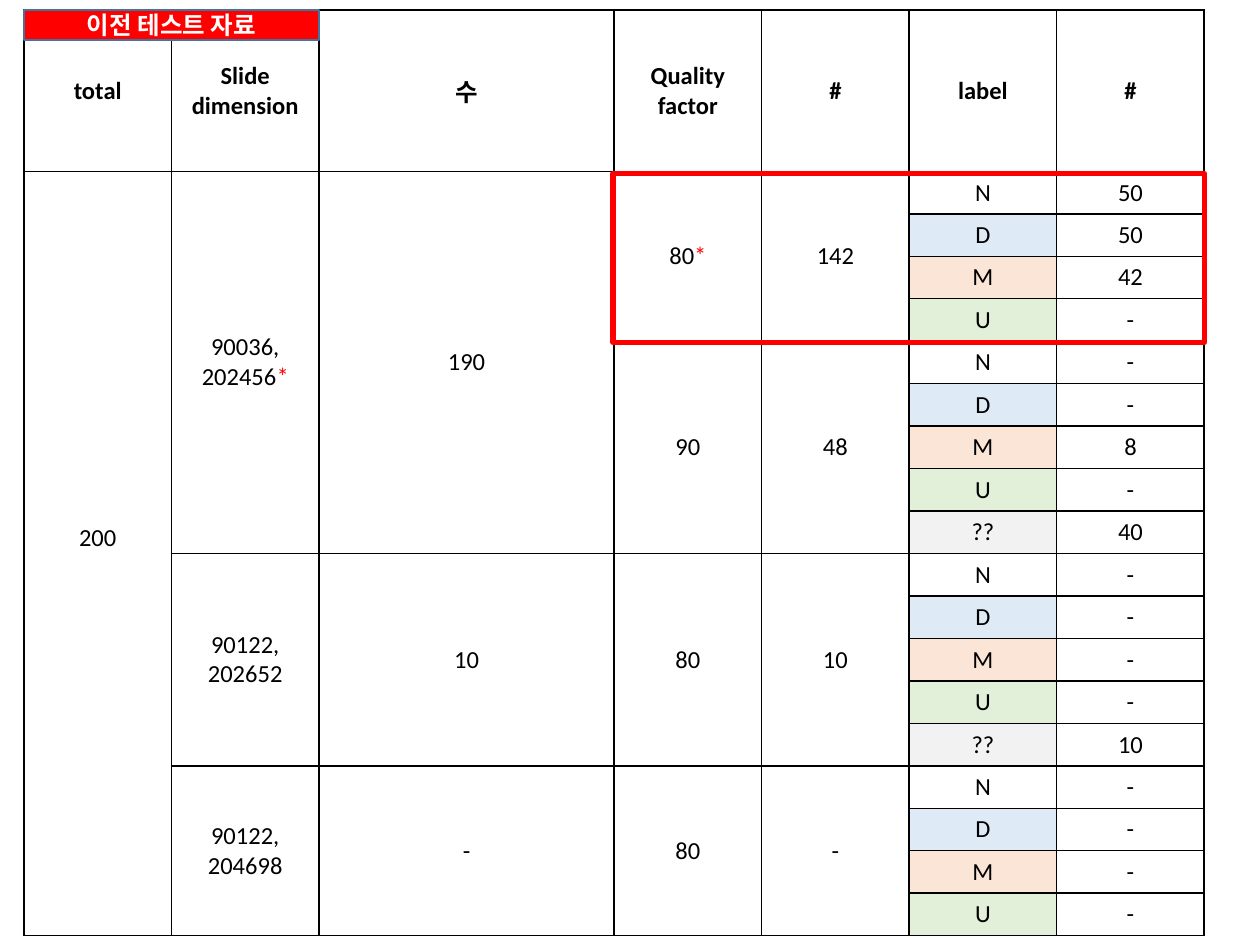
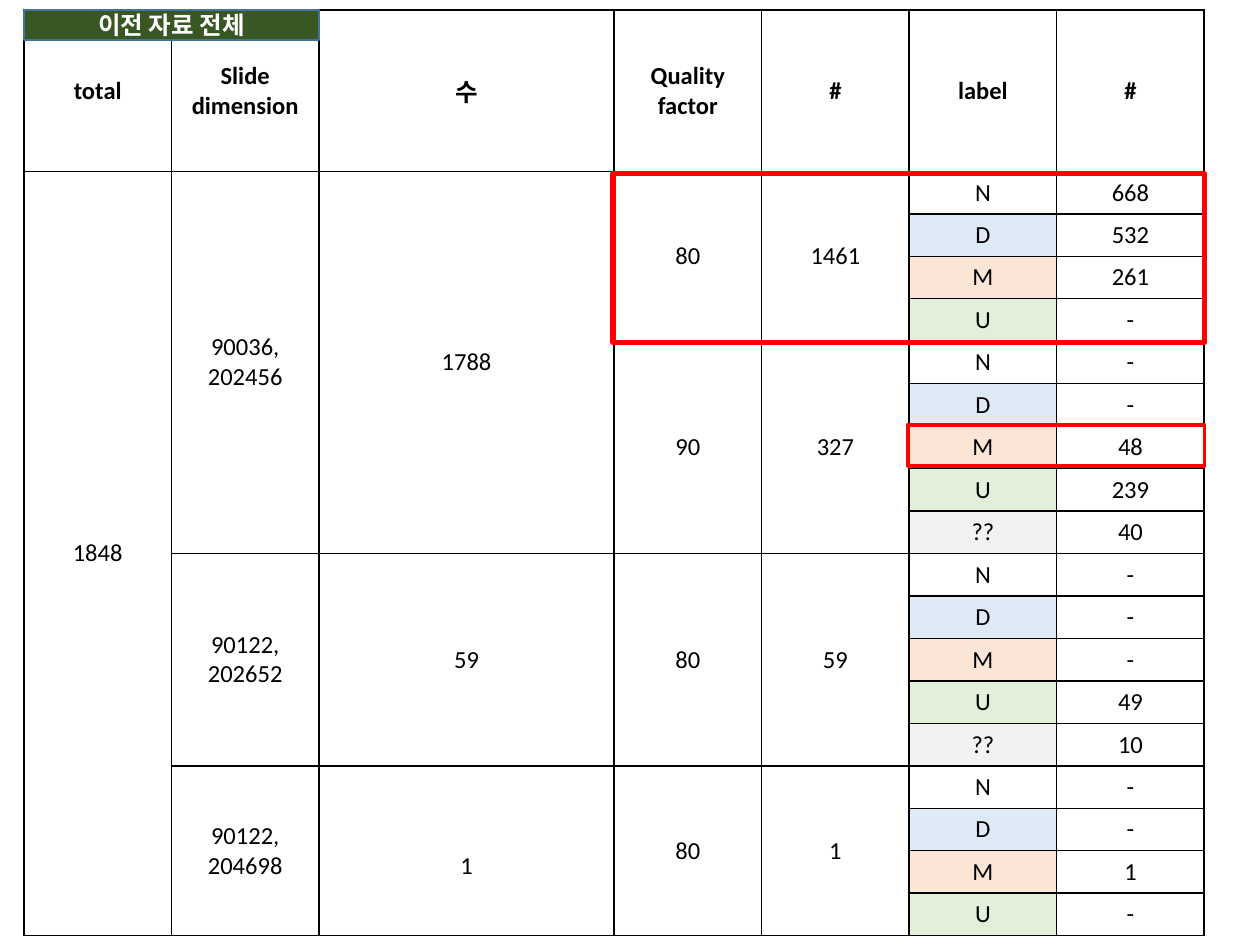
from dataclasses import dataclass

from pptx import Presentation
from pptx.dml.color import RGBColor
from pptx.enum.shapes import MSO_SHAPE
from pptx.enum.text import MSO_ANCHOR, PP_ALIGN
from pptx.oxml import parse_xml
from pptx.oxml.ns import nsdecls
from pptx.util import Inches, Pt

# Colours and type
BLACK = RGBColor(0x00, 0x00, 0x00)
WHITE = RGBColor(0xFF, 0xFF, 0xFF)
RED = RGBColor(0xFF, 0x00, 0x00)
DARK_GREEN = RGBColor(0x38, 0x57, 0x23)
TAG_LINE = RGBColor(0x43, 0x73, 0x9E)
LABEL_FILLS = {
    "N": WHITE,
    "D": RGBColor(0xDE, 0xEB, 0xF7),
    "M": RGBColor(0xFB, 0xE5, 0xD6),
    "U": RGBColor(0xE2, 0xF0, 0xD9),
    "??": RGBColor(0xF2, 0xF2, 0xF2),
}
LABELS = list(LABEL_FILLS)
FONT, SIZE = "Calibri", Pt(14)

# Grid: eight equal units across (the count column takes two), 18 body rows
LEFT, TOP = Inches(0.19), Inches(0.08)
COL_UNITS = (1, 1, 2, 1, 1, 1, 1)
UNIT_W = Inches(9.37) // sum(COL_UNITS)
HEAD_H = Inches(1.28)
BODY_ROWS = 18
ROW_H = Inches(6.06) // BODY_ROWS
TEXT_LINE = Inches(0.24)
HEADINGS = ("total", "Slide dimension", "수", "Quality factor", "#", "label", "#")


@dataclass(frozen=True)
class Factor:
    quality: str
    total: str
    counts: tuple[str, ...]


@dataclass(frozen=True)
class Dimension:
    size: str  # "\n" starts a paragraph, "\v" breaks the line
    count: str
    factors: tuple[Factor, ...]
    lowered: bool = False  # count sits half a line below the middle


@dataclass(frozen=True)
class Highlight:
    row: int
    col: int
    rows: int
    cols: int
    width: float
    shift: float  # inches below the grid line


@dataclass(frozen=True)
class Summary:
    tag: str
    tag_fill: RGBColor
    total: str
    dimensions: tuple[Dimension, ...]
    highlights: tuple[Highlight, ...]
    raised: bool = False  # total sits half a line above the middle


QUALITY_80 = Highlight(1, 3, 4, 4, 3, 0.02)
M_ROW = Highlight(7, 5, 1, 2, 2.25, -0.01)

SUMMARIES = (
    Summary("이전 테스트 자료", RED, "200", (
        Dimension("90036,\n202456*", "190", (
            Factor("80*", "142", ("50", "50", "42", "-")),
            Factor("90", "48", ("-", "-", "8", "-", "40")))),
        Dimension("90122,\v202652", "10", (
            Factor("80", "10", ("-", "-", "-", "-", "10")),)),
        Dimension("90122,\v204698", "-", (
            Factor("80", "-", ("-", "-", "-", "-")),)),
    ), (QUALITY_80,), raised=True),
    Summary("이전 자료 전체", DARK_GREEN, "1848", (
        Dimension("90036,\n202456", "1788", (
            Factor("80", "1461", ("668", "532", "261", "-")),
            Factor("90", "327", ("-", "-", "48", "239", "40")))),
        Dimension("90122,\v202652", "59", (
            Factor("80", "59", ("-", "-", "-", "49", "10")),)),
        Dimension("90122,\v204698", "1", (
            Factor("80", "1", ("-", "-", "1", "-")),), lowered=True),
    ), (QUALITY_80, M_ROW)),
)


def add_run(p, text: str, color: RGBColor, bold: bool) -> None:
    r = p.add_run()
    r.text = text
    r.font.name, r.font.size, r.font.bold = FONT, SIZE, bold
    r.font.color.rgb = color


def write(tf, text: str, color: RGBColor = BLACK, bold: bool = False) -> None:
    """Centred text; a closing asterisk is red."""
    for i, line in enumerate(text.split("\n")):
        p = tf.add_paragraph() if i else tf.paragraphs[0]
        p.alignment = PP_ALIGN.CENTER
        for j, part in enumerate(line.split("\v")):
            if j:
                p.add_line_break()
            add_run(p, part.rstrip("*"), color, bold)
            if part.endswith("*"):
                add_run(p, "*", RED, bold)


def style_cell(cell) -> None:
    tc_pr = cell._tc.get_or_add_tcPr()
    for side in ("lnL", "lnR", "lnT", "lnB"):
        tc_pr.append(parse_xml(
            f'<a:{side} {nsdecls("a")} w="{Pt(1)}"><a:solidFill>'
            f'<a:srgbClr val="{BLACK}"/></a:solidFill></a:{side}>'))
    cell.fill.solid()
    cell.fill.fore_color.rgb = WHITE
    cell.vertical_anchor = MSO_ANCHOR.MIDDLE


def put(table, row: int, col: int, text: str, rows: int = 1, bold: bool = False):
    cell = table.cell(row, col)
    if rows > 1:
        cell.merge(table.cell(row + rows - 1, col))
    write(cell.text_frame, text, bold=bold)
    return cell


def add_summary_table(s, summary: Summary) -> None:
    table = s.shapes.add_table(
        BODY_ROWS + 1, len(COL_UNITS), LEFT, TOP,
        UNIT_W * sum(COL_UNITS), HEAD_H + ROW_H * BODY_ROWS).table
    table.first_row = table.horz_banding = False
    for column, units in zip(table.columns, COL_UNITS):
        column.width = UNIT_W * units
    for i, row in enumerate(table.rows):
        row.height = ROW_H if i else HEAD_H
    for cell in table.iter_cells():
        style_cell(cell)

    for col, heading in enumerate(HEADINGS):
        put(table, 0, col, heading, bold=True)
    total = put(table, 1, 0, summary.total, BODY_ROWS)
    if summary.raised:
        total.margin_bottom += TEXT_LINE

    row = 1
    for dim in summary.dimensions:
        span = sum(len(f.counts) for f in dim.factors)
        put(table, row, 1, dim.size, span)
        count = put(table, row, 2, dim.count, span)
        if dim.lowered:
            count.margin_top += TEXT_LINE
        for factor in dim.factors:
            put(table, row, 3, factor.quality, len(factor.counts))
            put(table, row, 4, factor.total, len(factor.counts))
            for label, value in zip(LABELS, factor.counts):
                put(table, row, 5, label).fill.fore_color.rgb = LABEL_FILLS[label]
                put(table, row, 6, value)
                row += 1


def add_box(s, x: int, y: int, w: int, h: int, line: RGBColor, width: float):
    sp = s.shapes.add_shape(MSO_SHAPE.RECTANGLE, x, y, w, h)
    sp.shadow.inherit = False
    sp.fill.background()
    sp.line.color.rgb = line
    sp.line.width = Pt(width)
    return sp


def add_highlight(s, mark: Highlight) -> None:
    add_box(s, LEFT + UNIT_W * sum(COL_UNITS[:mark.col]) - Inches(0.01),
            TOP + HEAD_H + ROW_H * (mark.row - 1) + Inches(mark.shift),
            UNIT_W * sum(COL_UNITS[mark.col:mark.col + mark.cols]) + Inches(0.01),
            ROW_H * mark.rows - Inches(0.01), RED, mark.width)


def add_tag(s, text: str, fill: RGBColor) -> None:
    sp = add_box(s, LEFT, TOP, UNIT_W * 2, TEXT_LINE, TAG_LINE, 1)
    sp.fill.solid()
    sp.fill.fore_color.rgb = fill
    sp.text_frame.word_wrap = True
    sp.text_frame.vertical_anchor = MSO_ANCHOR.MIDDLE
    write(sp.text_frame, text, WHITE, bold=True)


def main() -> None:
    prs = Presentation()
    prs.slide_width, prs.slide_height = Inches(10), Inches(7.5)
    for summary in SUMMARIES:
        s = prs.slides.add_slide(prs.slide_layouts[6])
        add_summary_table(s, summary)
        add_tag(s, summary.tag, summary.tag_fill)
        for mark in summary.highlights:
            add_highlight(s, mark)
    prs.save("out.pptx")


if __name__ == "__main__":
    main()
